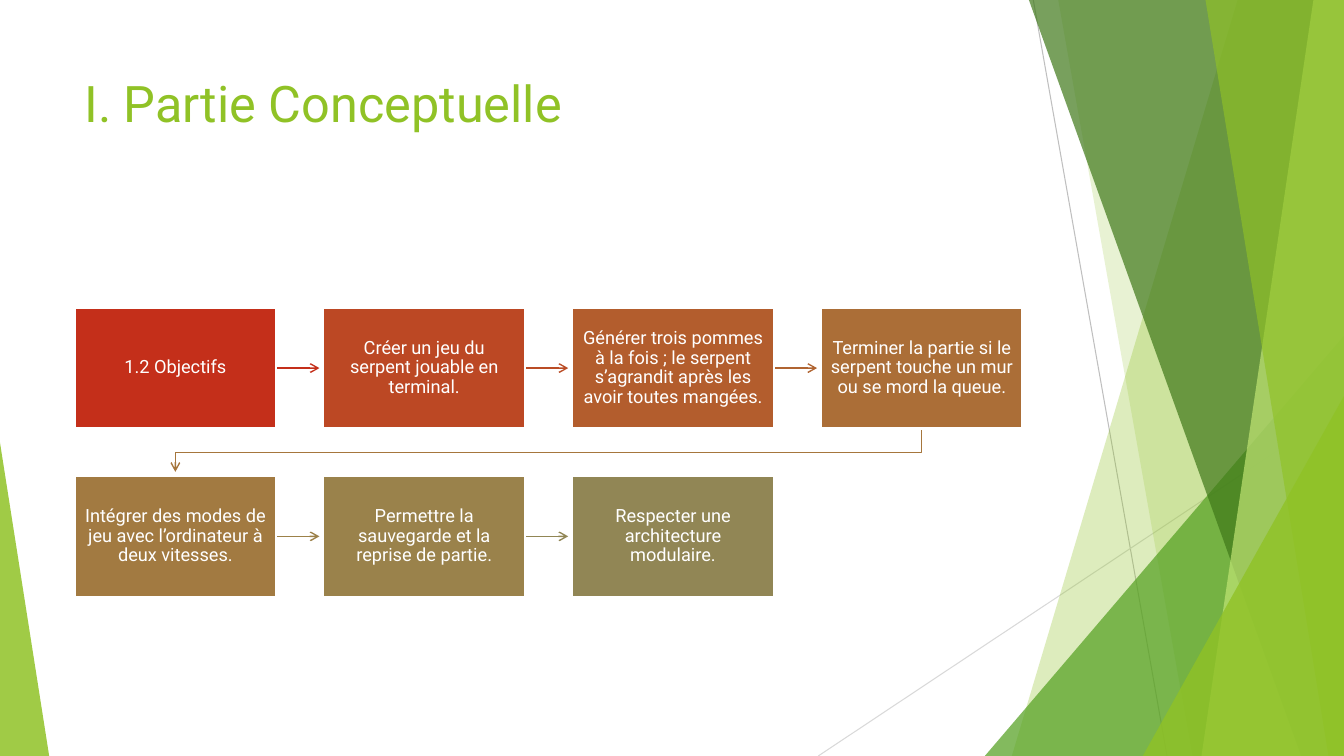
"""Build the "Partie Conceptuelle" slide: seven objectives chained by arrows."""
from lxml import etree
from pptx import Presentation
from pptx.dml.color import RGBColor
from pptx.enum.shapes import MSO_CONNECTOR, MSO_SHAPE
from pptx.enum.text import MSO_ANCHOR, PP_ALIGN
from pptx.oxml.ns import qn
from pptx.util import Cm, Pt

RECTANGLE = MSO_SHAPE.RECTANGLE
TRIANGLE = MSO_SHAPE.ISOSCELES_TRIANGLE
STRAIGHT = MSO_CONNECTOR.STRAIGHT
TOP, MIDDLE = MSO_ANCHOR.TOP, MSO_ANCHOR.MIDDLE
LEFT, CENTER = PP_ALIGN.LEFT, PP_ALIGN.CENTER
RIGHT_SIDE = 3

TITLE = "I. Partie Conceptuelle"
OBJECTIVES = [
    ("1.2 Objectifs", "C42F1A", "C42F1A"),
    ("Créer un jeu du serpent jouable en terminal.", "BC4824", "BA4C25"),
    ("Générer trois pommes à la fois ; le serpent s’agrandit après les avoir toutes mangées.",
     "B35D2D", "B06431"),
    ("Terminer la partie si le serpent touche un mur ou se mord la queue.", "AB6E37", "A6763D"),
    ("Intégrer des modes de jeu avec l’ordinateur à deux vitesses.", "A27A41", "9C8149"),
    ("Permettre la sauvegarde et la reprise de partie.", "9A824B", "918655"),
    ("Respecter une architecture modulaire.", "918655", None),
]

WIDTH, HEIGHT = 33.87, 19.05
RAYS = [
    ((26.04, 0), (29.41, HEIGHT), "BFBFBF"),
    ((WIDTH, 10.24), (20.62, HEIGHT), "D9D9D9"),
]
FACETS = [
    ("band", (31.19, 25.5), "90C226", 30),
    ("band", (26.67, 30.05), "90C226", 20),
    ("triangle", (24.82, 8.46, WIDTH, 1), "54A021", 72),
    ("band", (25.93, 32.79), "3F7819", 70),
    ("band", (33.1, 30.28), "C0E474", 70),
    ("band", (30.38, 33.48), "90C226", 65),
    ("triangle", (28.8, 9.98, WIDTH, 1), "90C226", 80),
    ("triangle", (0, 11.15, 1.24, 0), "90C226", 85),
]
THEME = {
    "font": "Roboto", "title_size": 36, "box_size": 13,
    "title_color": "90C226", "white": "FFFFFF",
    "ray_width": 0.75, "arrow_width": 1, "border_width": 1.5,
}

COLUMNS = 4
BOX_LEFT, BOX_TOP, BOX_WIDTH, BOX_HEIGHT = 1.88, 7.75, 5.08, 3.05
COLUMN_STEP, ROW_STEP = 6.27, 4.24
ARROW_LENGTH, ELBOW_DROP = 1.09, 0.61


def box_position(index):
    row, column = divmod(index, COLUMNS)
    return BOX_LEFT + column * COLUMN_STEP, BOX_TOP + row * ROW_STEP


def set_line(shape, color, width, arrow=False):
    shape.line.color.rgb = RGBColor.from_string(color)
    shape.line.width = Pt(width)
    if arrow:
        etree.SubElement(shape.line._get_or_add_ln(), qn("a:tailEnd"), type="arrow")


def set_fill(shape, color, opacity=100):
    shape.shadow.inherit = False
    shape.fill.solid()
    shape.fill.fore_color.rgb = RGBColor.from_string(color)
    if opacity < 100:
        color_element = shape._element.spPr.find(qn("a:solidFill"))[0]
        etree.SubElement(color_element, qn("a:alpha"), val=str(opacity * 1000))


def add_line(slide, start, end, color, width, arrow=False):
    connector = slide.shapes.add_connector(STRAIGHT, *map(Cm, start + end))
    set_line(connector, color, width, arrow)
    etree.SubElement(connector._element.spPr, qn("a:effectLst"))
    return connector


def add_path(slide, points, close):
    corners = [(Cm(x), Cm(y)) for x, y in points]
    builder = slide.shapes.build_freeform(*corners[0])
    builder.add_line_segments(corners[1:], close=close)
    return builder.convert_to_shape()


def write_text(shape, text, size, color, alignment, anchor):
    frame = shape.text_frame
    frame.word_wrap = True
    frame.vertical_anchor = anchor
    paragraph = frame.paragraphs[0]
    paragraph.alignment = alignment
    run = paragraph.add_run()
    run.text = text
    run.font.name = THEME["font"]
    run.font.size = Pt(size)
    run.font.color.rgb = RGBColor.from_string(color)
    return frame


def add_background(slide):
    for start, end, color in RAYS:
        add_line(slide, start, end, color, THEME["ray_width"])
    for kind, geometry, color, opacity in FACETS:
        if kind == "band":
            top_x, bottom_x = geometry
            facet = add_path(slide, [(top_x, 0), (WIDTH, 0), (WIDTH, HEIGHT),
                                     (bottom_x, HEIGHT)], True)
        else:
            left, top, right, apex = geometry
            facet = slide.shapes.add_shape(TRIANGLE, Cm(left), Cm(top),
                                           Cm(right - left), Cm(HEIGHT - top))
            facet.adjustments[0] = apex
        set_fill(facet, color, opacity)
        facet.line.fill.background()


def add_arrows(slide):
    arrows = {}
    for index, (_, _, color) in enumerate(OBJECTIVES[:-1]):
        left, top = box_position(index)
        if (index + 1) % COLUMNS:
            start = (left + BOX_WIDTH, top + BOX_HEIGHT / 2)
            end = (start[0] + ARROW_LENGTH, start[1])
            arrows[index] = add_line(slide, start, end, color, THEME["arrow_width"], True)
        else:
            start_x, start_y = left + BOX_WIDTH / 2, top + BOX_HEIGHT
            end_x = BOX_LEFT + BOX_WIDTH / 2
            turn_y = start_y + ELBOW_DROP
            elbow = add_path(slide, [(start_x, start_y), (start_x, turn_y), (end_x, turn_y),
                                     (end_x, start_y + ARROW_LENGTH)], False)
            elbow.shadow.inherit = False
            elbow.fill.background()
            set_line(elbow, color, THEME["arrow_width"], True)
    return arrows


def add_boxes(slide, arrows):
    for index, (text, color, _) in enumerate(OBJECTIVES):
        left, top = box_position(index)
        box = slide.shapes.add_shape(RECTANGLE, Cm(left), Cm(top), Cm(BOX_WIDTH), Cm(BOX_HEIGHT))
        set_fill(box, color)
        set_line(box, THEME["white"], THEME["border_width"])
        frame = write_text(box, text, THEME["box_size"], THEME["white"], CENTER, MIDDLE)
        frame.margin_left = frame.margin_right = Cm(0.25)
        frame.margin_top = frame.margin_bottom = Cm(0.25)
        frame.paragraphs[0].line_spacing = 0.9
        if index in arrows:
            arrows[index].begin_connect(box, RIGHT_SIDE)


def main():
    presentation = Presentation()
    presentation.slide_width, presentation.slide_height = Cm(WIDTH), Cm(HEIGHT)
    slide = presentation.slides.add_slide(presentation.slide_layouts[6])
    add_background(slide)
    title = slide.shapes.add_textbox(Cm(1.88), Cm(1.7), Cm(23.88), Cm(3.66))
    write_text(title, TITLE, THEME["title_size"], THEME["title_color"], LEFT, TOP)
    add_boxes(slide, add_arrows(slide))
    presentation.save("out.pptx")


if __name__ == "__main__":
    main()
